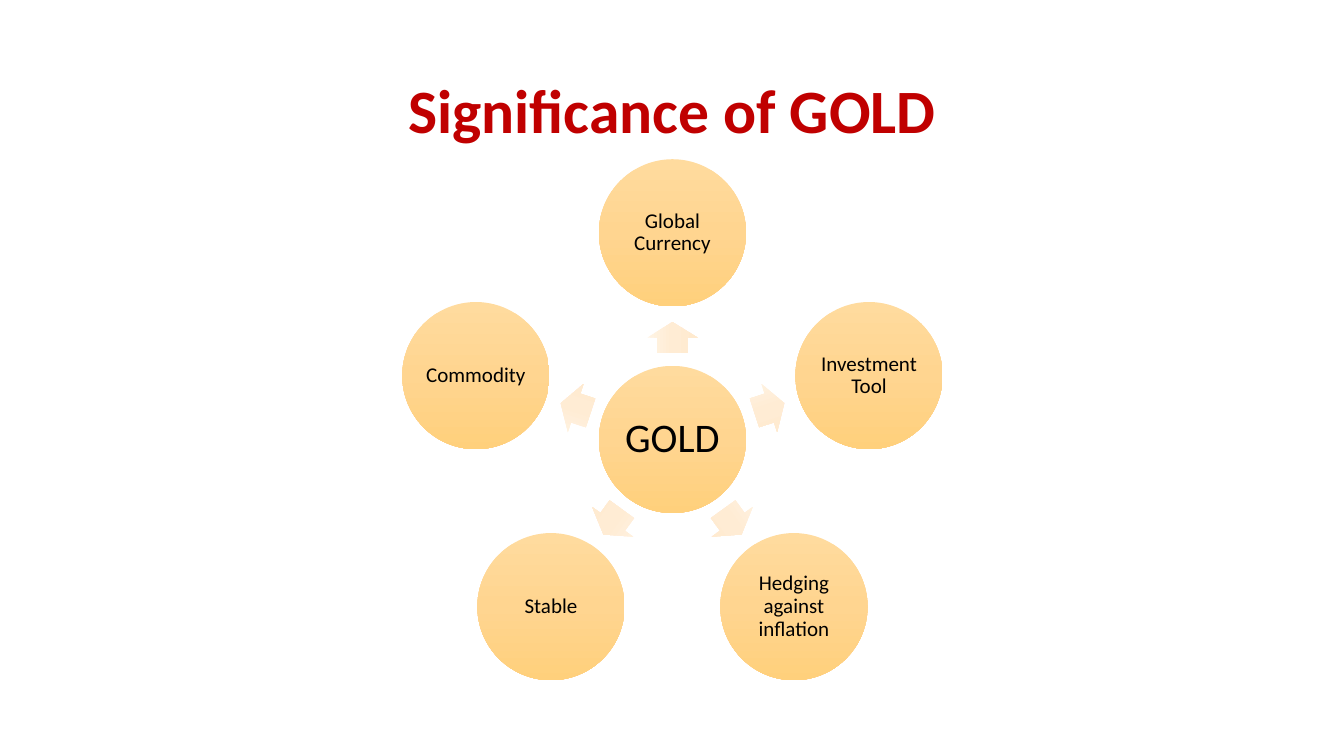
from copy import deepcopy
from dataclasses import dataclass
from math import cos, radians, sin

from pptx import Presentation
from pptx.dml.color import RGBColor
from pptx.enum.shapes import MSO_SHAPE as Shape
from pptx.enum.text import MSO_ANCHOR as Anchor, PP_ALIGN as Align
from pptx.shapes.autoshape import Shape as AutoShape
from pptx.slide import Slide
from pptx.text.text import TextFrame
from pptx.util import Inches, Pt

RED = RGBColor(0xC0, 0x00, 0x00)
BLACK = RGBColor(0x00, 0x00, 0x00)
CIRCLE_GRADIENT = (
    RGBColor(0xFF, 0xDB, 0x9E),
    RGBColor(0xFF, 0xD5, 0x90),
    RGBColor(0xFF, 0xD0, 0x7C),
)
ARROW_GRADIENT = (
    RGBColor(0xFF, 0xF4, 0xE4),
    RGBColor(0xFF, 0xEC, 0xD4),
    RGBColor(0xFF, 0xEA, 0xCE),
)

FONT = "Calibri"
CENTER_X, CENTER_Y = 6.67, 4.36
CIRCLE_SIZE = 1.46
ARROW_LENGTH, ARROW_WIDTH = 0.31, 0.5
CIRCLE_ORBIT, ARROW_ORBIT = 2.05, 1.01
ROLES = (
    "Global Currency",
    "Investment Tool",
    "Hedging against inflation",
    "Stable",
    "Commodity",
)


@dataclass(frozen=True)
class Circle:
    label: str
    x: float
    y: float
    font_size: int = 15
    inset: float = 0.02


def orbit_point(angle: float, radius: float) -> tuple[float, float]:
    """Point around the hub; the angle runs clockwise from the right."""
    turn = radians(angle)
    return CENTER_X + radius * cos(turn), CENTER_Y + radius * sin(turn)


def write_text(frame: TextFrame, text: str, size: int, color: RGBColor, bold: bool = False) -> None:
    frame.text = text
    frame.word_wrap = True
    frame.vertical_anchor = Anchor.MIDDLE
    para = frame.paragraphs[0]
    para.alignment = Align.CENTER
    para.line_spacing = 0.9
    font = para.runs[0].font
    font.name, font.size, font.bold = FONT, Pt(size), bold
    font.color.rgb = color


def add_gradient_shape(
    page: Slide, kind: Shape, x: float, y: float, width: float, height: float,
    colors: tuple[RGBColor, ...],
) -> AutoShape:
    """Add a borderless shape centred on x, y with a top-to-bottom gradient."""
    shape = page.shapes.add_shape(
        kind, Inches(x - width / 2), Inches(y - height / 2), Inches(width), Inches(height)
    )
    shape.shadow.inherit = False
    shape.line.fill.background()
    fill = shape.fill
    fill.gradient()
    fill.gradient_angle = 270
    stop_list = fill._fill._gradFill.gsLst
    stop_list.insert(1, deepcopy(stop_list[0]))
    for index, (stop, color) in enumerate(zip(fill.gradient_stops, colors)):
        stop.position = index / (len(colors) - 1)
        stop.color.rgb = color
    return shape


def add_circle(page: Slide, circle: Circle) -> None:
    shape = add_gradient_shape(
        page, Shape.OVAL, circle.x, circle.y, CIRCLE_SIZE, CIRCLE_SIZE, CIRCLE_GRADIENT
    )
    frame = shape.text_frame
    frame.margin_left = frame.margin_right = Inches(circle.inset)
    frame.margin_top = frame.margin_bottom = Inches(circle.inset)
    write_text(frame, circle.label, circle.font_size, BLACK)


def add_arrow(page: Slide, angle: float) -> None:
    x, y = orbit_point(angle, ARROW_ORBIT)
    arrow = add_gradient_shape(
        page, Shape.RIGHT_ARROW, x, y, ARROW_LENGTH, ARROW_WIDTH, ARROW_GRADIENT
    )
    arrow.adjustments[0] = 0.6
    arrow.adjustments[1] = 0.5
    arrow.rotation = angle % 360


def main() -> None:
    deck = Presentation()
    deck.slide_width, deck.slide_height = Inches(13.33), Inches(7.5)
    page = deck.slides.add_slide(deck.slide_layouts[6])

    title = page.shapes.add_textbox(Inches(0.92), Inches(0.4), Inches(11.5), Inches(1.45))
    write_text(title.text_frame, "Significance of GOLD", 44, RED, bold=True)

    add_circle(page, Circle("GOLD", CENTER_X, CENTER_Y, font_size=29, inset=0.04))
    for index, role in enumerate(ROLES):
        angle = -90 + index * 360 / len(ROLES)
        add_arrow(page, angle)
        add_circle(page, Circle(role, *orbit_point(angle, CIRCLE_ORBIT)))

    deck.save("out.pptx")


if __name__ == "__main__":
    main()
